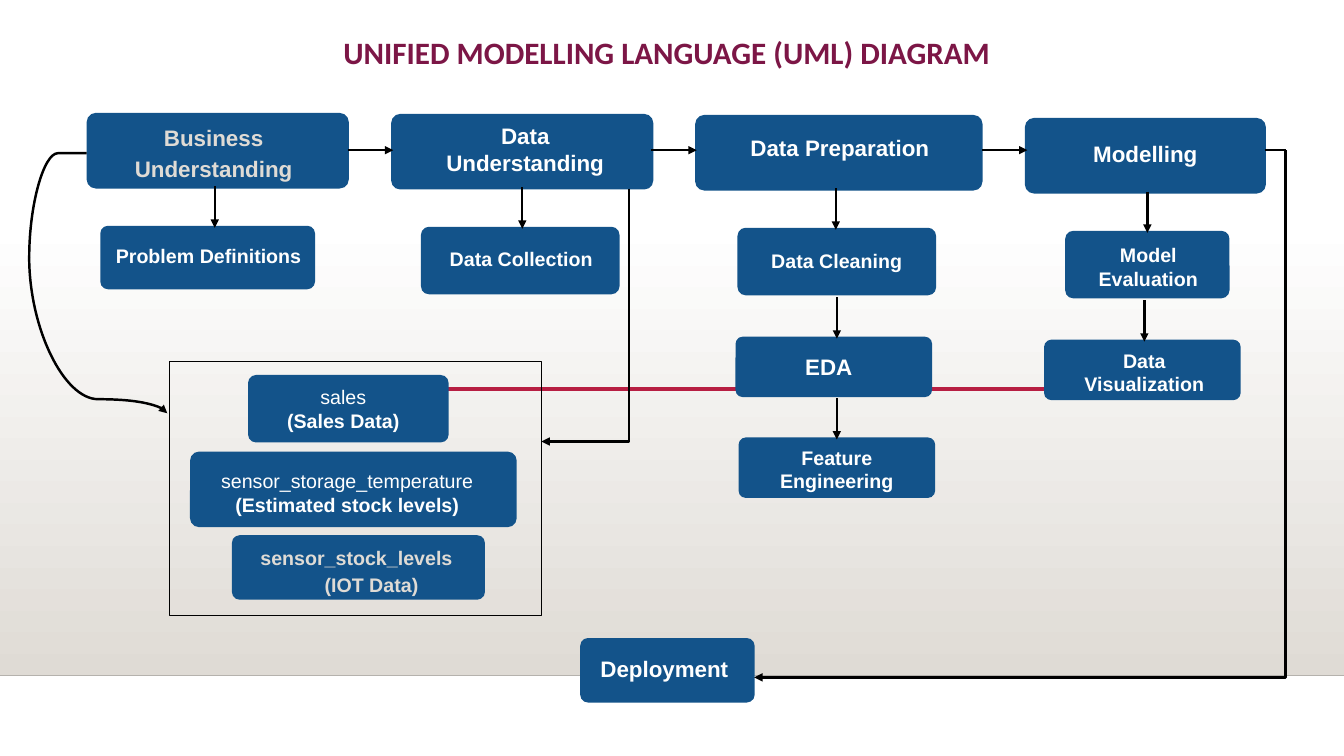
from dataclasses import dataclass
from lxml.etree import SubElement
from pptx import Presentation
from pptx.dml.color import RGBColor
from pptx.enum.shapes import MSO_CONNECTOR, MSO_SHAPE
from pptx.enum.text import MSO_ANCHOR, PP_ALIGN
from pptx.oxml.ns import qn
from pptx.util import Inches, Pt

COLORS = {"box": "13538A", "white": "FFFFFF", "stone": "DFDBD5", "title": "7C1646",
          "red": "B71E42", "black": "000000", "floor": "B5B2AD"}
CHILD_DROPS = (1.12, 2.2, 3.2)


@dataclass
class Node:
    """A rounded box: its text, its size, and how far its parts sit off centre."""
    lines: list
    width: float
    height: float
    text_top: float
    dx: float = 0
    arrow_dx: float = 0
    shift: float = 0
    text_width: float = 0
    size: int = 14
    color: str = "white"
    spacing: float = 1.0
    plain_first: bool = False
    first_align: PP_ALIGN = PP_ALIGN.CENTER


def rgb(name):
    """Look up a named colour."""
    return RGBColor.from_string(COLORS[name])


def add_text(paragraph, text, size=14, color="white", bold=True, font="Arial",
             align=PP_ALIGN.CENTER, spacing=1.0):
    """Write one formatted run into a paragraph."""
    paragraph.alignment = align
    paragraph.line_spacing = spacing
    run = paragraph.add_run()
    run.text = text
    run.font.name, run.font.size, run.font.bold = font, Pt(size), bold
    run.font.color.rgb = rgb(color)


def add_line(slide, start, end, color="black", width=1.75, arrow=True,
             kind=MSO_CONNECTOR.STRAIGHT):
    """Draw a connector between two points, with an arrowhead if asked."""
    connector = slide.shapes.add_connector(kind, *map(Inches, (*start, *end)))
    connector.line.color.rgb = rgb(color)
    connector.line.width = Pt(width)
    if arrow:
        SubElement(connector.line._get_or_add_ln(), qn("a:tailEnd"), type="triangle")
    SubElement(connector._element.spPr, qn("a:effectLst"))
    return connector


def add_route(slide, box, kind, adjust, rotation, flip=None, arrow=True):
    """Draw a bent or curved connector in a box, turned and flipped."""
    left, top, width, height = box
    connector = add_line(slide, (left, top), (left + width, top + height),
                         kind=kind, arrow=arrow)
    properties = connector._element.spPr
    transform = properties.find(qn("a:xfrm"))
    transform.set("rot", str(rotation * 60000))
    if flip:
        transform.set(flip, "1")
    geometry = properties.find(qn("a:prstGeom"))
    adjustments = geometry.find(qn("a:avLst"))
    if adjustments is None:
        adjustments = SubElement(geometry, qn("a:avLst"))
    SubElement(adjustments, qn("a:gd"), name="adj1", fmla=f"val {round(adjust * 100000)}")


def add_node(slide, center, top, node):
    """Draw a node centred on an x position."""
    shape = slide.shapes.add_shape(
        MSO_SHAPE.ROUNDED_RECTANGLE, Inches(center - node.width / 2), Inches(top),
        Inches(node.width), Inches(node.height))
    shape.adjustments[0] = 0.12
    shape.shadow.inherit = False
    shape.fill.solid()
    shape.fill.fore_color.rgb = rgb("box")
    shape.line.fill.background()
    frame = shape.text_frame
    frame.word_wrap = True
    frame.vertical_anchor = MSO_ANCHOR.TOP
    side = (node.width - (node.text_width or node.width - 0.15)) / 2
    frame.margin_left = Inches(max(0, side + node.shift))
    frame.margin_right = Inches(max(0, side - node.shift))
    frame.margin_top, frame.margin_bottom = Inches(node.text_top), 0
    for index, line in enumerate(node.lines):
        paragraph = frame.add_paragraph() if index else frame.paragraphs[0]
        add_text(paragraph, line, size=node.size, color=node.color, spacing=node.spacing,
                 bold=bool(index) or not node.plain_first,
                 align=PP_ALIGN.CENTER if index else node.first_align)


def add_background(slide, box):
    """Fill the lower part with a fade that ends in a thin floor line."""
    left, top, width, height = box
    fade = slide.shapes.add_shape(MSO_SHAPE.RECTANGLE, *map(Inches, box))
    fade.shadow.inherit = False
    fade.line.fill.background()
    fade.fill.gradient()
    fade.fill.gradient_angle = 270
    for stop, color, position in zip(fade.fill.gradient_stops, ("white", "stone"), (0, 1)):
        stop.color.rgb = rgb(color)
        stop.position = position
    floor = top + height
    add_line(slide, (left, floor), (left + width, floor), "floor", 1, arrow=False)


def add_title(slide, box, text):
    """Move and format the title placeholder."""
    title = slide.shapes.title
    title.left, title.top, title.width, title.height = map(Inches, box)
    title.text_frame.word_wrap = True
    title.text_frame.vertical_anchor = MSO_ANCHOR.BOTTOM
    paragraph = title.text_frame.paragraphs[0]
    paragraph.space_after = Pt(6)
    add_text(paragraph, text, size=22.2, color="title", font="Calibri", spacing=0.9)


def add_stage(slide, center, top, header, children):
    """Draw a stage with its steps below, joined by arrows."""
    add_node(slide, center, top, header)
    for drop, child in zip(CHILD_DROPS, children):
        add_node(slide, center + child.dx, top + drop, child)
        x = center + child.arrow_dx
        add_line(slide, (x, top + drop - 0.39), (x, top + drop + 0.02))


def add_data_sources(slide, box, nodes):
    """Draw the framed group of data sources."""
    left, top, width, height = box
    frame = slide.shapes.add_shape(MSO_SHAPE.RECTANGLE, *map(Inches, box))
    frame.shadow.inherit = False
    frame.fill.background()
    frame.line.color.rgb = rgb("black")
    frame.line.width = Pt(0.75)
    for drop, node in zip((0.13, 0.89, 1.72), nodes):
        add_node(slide, left + width / 2 + node.dx, top + drop, node)


def add_routes(slide):
    """Link the stages, and lead them to the data sources and to deployment."""
    for x in (3.45, 6.46, 9.74):
        add_line(slide, (x, 1.49), (x + 0.45, 1.49))
    curve, elbow = MSO_CONNECTOR.CURVE, MSO_CONNECTOR.ELBOW
    add_route(slide, (0.2, 2.64, 1.55, 1.37), curve, 0.91, 270, "flipH")
    add_route(slide, (0.06, 1.75, 1.03, 0.57), curve, 0, 90, arrow=False)
    add_route(slide, (4.55, 2.69, 2.51, 0.87), elbow, 1, 90)
    add_route(slide, (7.48, 1.49, 5.27, 5.23), elbow, 0, 180, "flipV")
    add_line(slide, (12.55, 1.49), (12.75, 1.49), arrow=False)


STAGES = [
    (2.16, 1.12,
     Node(["Business Understanding"], 2.6, 0.75, 0.05, shift=-0.04, text_width=2.2,
          size=16, color="stone", spacing=1.15),
     [Node(["Problem Definitions"], 2.13, 0.63, 0.16, dx=-0.1, arrow_dx=-0.03, shift=0.01)]),
    (5.18, 1.13,
     Node(["Data Understanding"], 2.6, 0.75, 0.06, shift=0.03, text_width=1.8, size=16),
     [Node(["Data Collection"], 1.97, 0.67, 0.18, dx=-0.02, shift=0.01)]),
    (8.32, 1.14,
     Node(["Data Preparation"], 2.85, 0.75, 0.16, shift=0.01, size=16),
     [Node(["Data Cleaning"], 1.97, 0.67, 0.19, dx=-0.02, arrow_dx=-0.03),
      Node(["EDA"], 1.95, 0.6, 0.14, dx=-0.05, arrow_dx=-0.02, shift=-0.05, size=16),
      Node(["Feature Engineering"], 1.95, 0.6, 0.06, dx=-0.02, arrow_dx=-0.02,
           text_width=1.5)]),
    (11.36, 1.17,
     Node(["Modelling"], 2.39, 0.75, 0.19, size=16),
     [Node(["Model Evaluation"], 1.63, 0.67, 0.1, dx=0.02, arrow_dx=0.02, shift=0.01,
           text_width=1.15),
      Node(["Data Visualization"], 1.95, 0.6, 0.07, dx=-0.03, arrow_dx=-0.01, shift=0.02,
           text_width=1.5)]),
]
SOURCES = [
    Node(["sales", "(Sales Data)"], 1.99, 0.67, 0.08, dx=-0.07, shift=-0.05,
         plain_first=True),
    Node(["sensor_storage_temperature", "(Estimated stock levels)"], 3.24, 0.75, 0.15,
         dx=-0.02, shift=-0.06, plain_first=True),
    Node(["sensor_stock_levels", "(IOT Data)"], 2.51, 0.64, 0.05, dx=0.03, shift=0.13,
         text_width=2.25, color="stone", spacing=1.15, first_align=PP_ALIGN.LEFT),
]

presentation = Presentation()
presentation.slide_width, presentation.slide_height = Inches(13.33), Inches(7.5)
slide = presentation.slides.add_slide(presentation.slide_layouts[5])
add_background(slide, (0, 2.21, 13.33, 4.49))
add_title(slide, (2.4, 0.1, 8.43, 0.66), "UNIFIED MODELLING LANGUAGE (UML) DIAGRAM")
add_line(slide, (2.64, 3.86), (12.09, 3.86), "red", 2.5, arrow=False)
for stage in STAGES:
    add_stage(slide, *stage)
add_data_sources(slide, (1.68, 3.59, 3.69, 2.52), SOURCES)
add_node(slide, 6.62, 6.33, Node(["Deployment"], 1.73, 0.64, 0.15, shift=-0.03, size=16))
add_routes(slide)
presentation.save("out.pptx")
